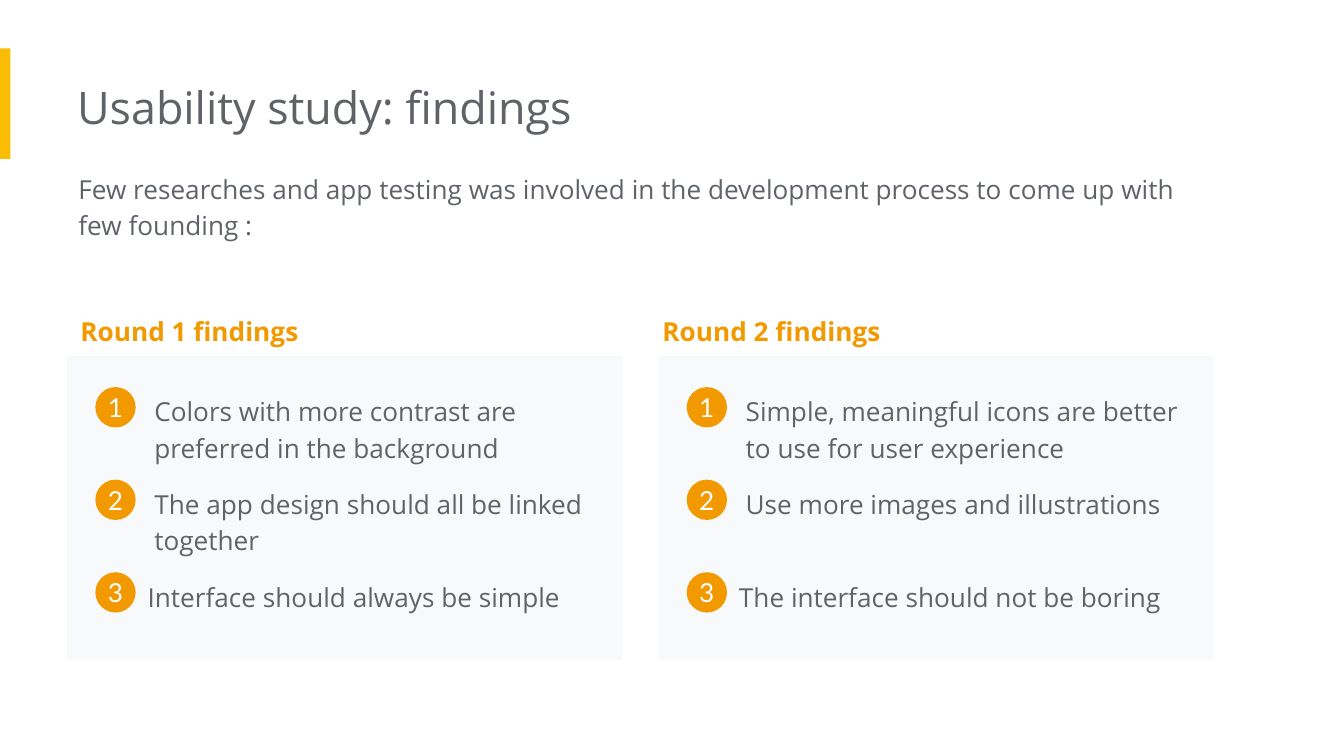
from pptx import Presentation
from pptx.dml.color import RGBColor
from pptx.enum import shapes, text
from pptx.util import Pt

GREY, ORANGE, YELLOW, PALE, WHITE = "5F6368", "F29900", "FBBC04", "F8F9FA", "FFFFFF"

deck = Presentation()
deck.slide_width, deck.slide_height = Pt(720), Pt(405)
slide = deck.slides.add_slide(deck.slide_layouts[5])


def write(holder, words, size=14, color=GREY, font="Open Sans", bold=False,
          spacing=1.15, left=7.2, inset=7.2, align=text.PP_ALIGN.LEFT,
          anchor=text.MSO_ANCHOR.TOP):
    frame = holder.text_frame
    frame.word_wrap = True
    frame.auto_size = text.MSO_AUTO_SIZE.NONE
    frame.vertical_anchor = anchor
    frame.margin_left = Pt(left)
    frame.margin_top = frame.margin_right = frame.margin_bottom = Pt(inset)
    paragraph = frame.paragraphs[0]
    paragraph.alignment = align
    paragraph.line_spacing = spacing
    run = paragraph.add_run()
    run.text = words
    run.font.size = Pt(size)
    run.font.name = font
    run.font.bold = bold
    run.font.color.rgb = RGBColor.from_string(color)


def block(kind, x, y, width, height, color):
    shape = slide.shapes.add_shape(kind, Pt(x), Pt(y), Pt(width), Pt(height))
    shape.shadow.inherit = False
    shape.fill.solid()
    shape.fill.fore_color.rgb = RGBColor.from_string(color)
    shape.line.fill.background()
    return shape


block(shapes.MSO_SHAPE.RECTANGLE, 0, 26, 5.6, 59.2, YELLOW)

title = slide.shapes.title
title.left, title.top, title.width, title.height = Pt(41.3), Pt(35.4), Pt(484.6), Pt(44)
write(title, "Usability study: findings", size=24, spacing=1, left=0)

intro = slide.shapes.add_textbox(Pt(42), Pt(83), Pt(620), Pt(72.7))
write(intro, "Few researches and app testing was involved in the development process "
      "to come up with few founding :", left=0)

rounds = [
    ("Round 1 findings", 36, 36, [
        "Colors with more contrast are preferred in the background",
        "The app design should all be linked together",
        "Interface should always be simple"]),
    ("Round 2 findings", 352.8, 347.8, [
        "Simple, meaningful icons are better to use for user experience",
        "Use more images and illustrations",
        "The interface should not be boring"]),
]
finding_indents = [39.6, 39.6, 36]

for heading, card_x, heading_x, findings in rounds:
    block(shapes.MSO_SHAPE.RECTANGLE, card_x, 190.8, 297.4, 162.6, PALE)
    label = slide.shapes.add_textbox(Pt(heading_x), Pt(159.1), Pt(262.8), Pt(31.7))
    write(label, heading, color=ORANGE, bold=True)

    for row, (finding, indent) in enumerate(zip(findings, finding_indents)):
        y = 202.4 + row * 49.6
        note = slide.shapes.add_textbox(Pt(card_x + indent), Pt(y), Pt(262.8), Pt(53.3))
        write(note, finding)
        badge = block(shapes.MSO_SHAPE.OVAL, card_x + 15.1, y + 5, 21.6, 21.6, ORANGE)
        write(badge, str(row + 1), color=WHITE, font="Lato", spacing=1, left=0, inset=0,
              align=text.PP_ALIGN.CENTER, anchor=text.MSO_ANCHOR.MIDDLE)

deck.save("out.pptx")
